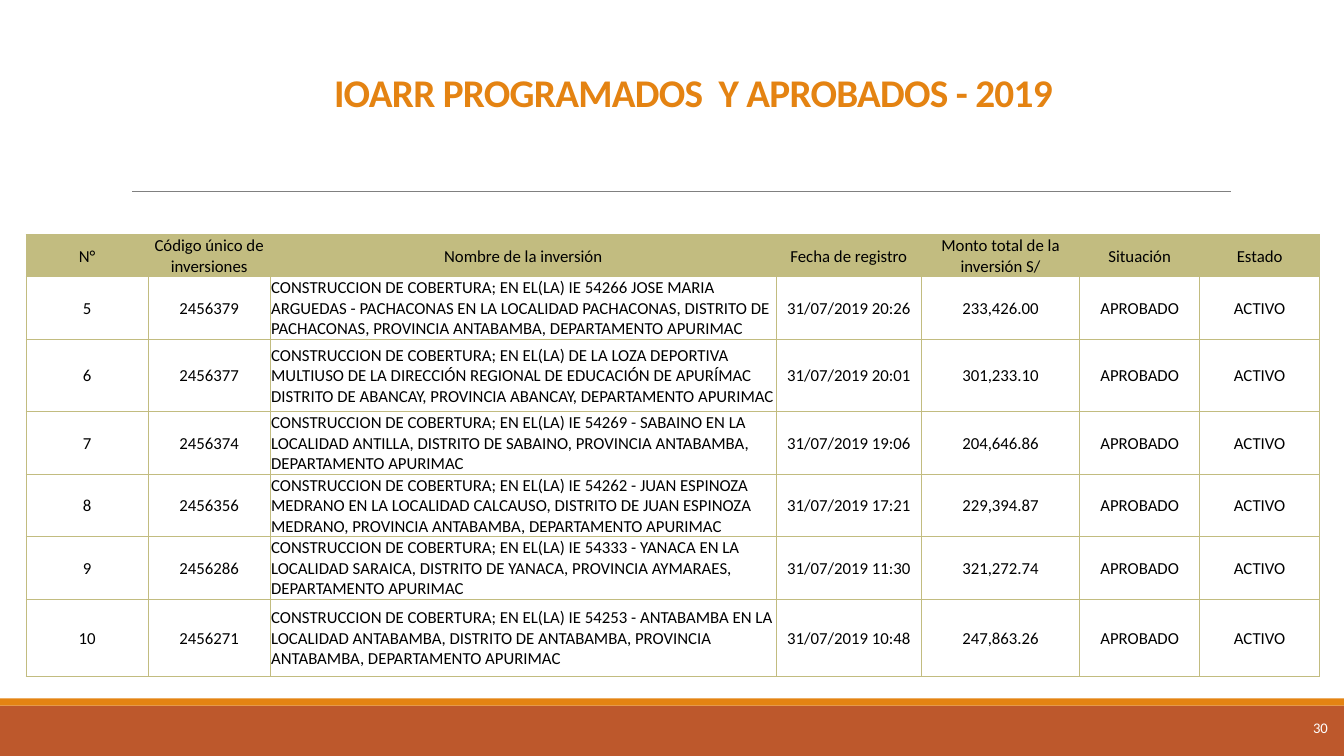
from lxml.etree import SubElement
from pptx import Presentation
from pptx.dml.color import RGBColor
from pptx.enum.shapes import MSO_CONNECTOR, MSO_SHAPE
from pptx.enum.text import MSO_ANCHOR, MSO_AUTO_SIZE, PP_ALIGN
from pptx.oxml.ns import qn
from pptx.util import Inches, Pt

TITLE = "IOARR PROGRAMADOS  Y APROBADOS - 2019"
PAGE_NUMBER = "30"
HEADERS = ["N°", "Código único de inversiones", "Nombre de la inversión", "Fecha de registro",
           "Monto total de la inversión S/", "Situación", "Estado"]
WORK = "CONSTRUCCION DE COBERTURA; EN EL(LA) "
REGION = ", DEPARTAMENTO APURIMAC"
INVESTMENTS = [
    ("2456379", "IE 54266 JOSE MARIA ARGUEDAS - PACHACONAS EN LA LOCALIDAD PACHACONAS, "
     "DISTRITO DE PACHACONAS, PROVINCIA ANTABAMBA", "31/07/2019 20:26", "233,426.00"),
    ("2456377", "DE LA LOZA DEPORTIVA MULTIUSO DE LA DIRECCIÓN REGIONAL DE EDUCACIÓN DE APURÍMAC "
     "DISTRITO DE ABANCAY, PROVINCIA ABANCAY", "31/07/2019 20:01", "301,233.10"),
    ("2456374", "IE 54269 - SABAINO EN LA LOCALIDAD ANTILLA, "
     "DISTRITO DE SABAINO, PROVINCIA ANTABAMBA", "31/07/2019 19:06", "204,646.86"),
    ("2456356", "IE 54262 - JUAN ESPINOZA MEDRANO EN LA LOCALIDAD CALCAUSO, "
     "DISTRITO DE JUAN ESPINOZA MEDRANO, PROVINCIA ANTABAMBA", "31/07/2019 17:21", "229,394.87"),
    ("2456286", "IE 54333 - YANACA EN LA LOCALIDAD SARAICA, "
     "DISTRITO DE YANACA, PROVINCIA AYMARAES", "31/07/2019 11:30", "321,272.74"),
    ("2456271", "IE 54253 - ANTABAMBA EN LA LOCALIDAD ANTABAMBA, "
     "DISTRITO DE ANTABAMBA, PROVINCIA ANTABAMBA", "31/07/2019 10:48", "247,863.26"),
]
FIRST_NUMBER = 5
NAME_COLUMN = 2
COLUMN_WIDTHS = [1.21, 1.21, 5.02, 1.44, 1.57, 1.19, 1.19]
ROW_HEIGHTS = [0.41, 0.62, 0.72, 0.62, 0.62, 0.62, 0.77]
BANDS = [(7, 0.5, "BD582C"), (6.93, 0.07, "E48312")]
OLIVE = "C2BC80"


def color(value):
    return RGBColor.from_string(value)


def write(frame, text, size, tint, align, bold=False):
    para = frame.paragraphs[0]
    para.alignment = align
    span = para.add_run()
    span.text = text
    span.font.name = "Calibri"
    span.font.size = Pt(size)
    span.font.bold = bold
    span.font.color.rgb = color(tint)
    return span


def prepare(frame, anchor):
    frame.margin_left = frame.margin_right = frame.margin_top = frame.margin_bottom = 0
    frame.word_wrap = True
    frame.auto_size = MSO_AUTO_SIZE.NONE
    frame.vertical_anchor = anchor


def add_borders(cell):
    properties = cell._tc.get_or_add_tcPr()
    for side in ("lnL", "lnR", "lnT", "lnB"):
        line = SubElement(properties, qn(f"a:{side}"), w=str(Pt(1)))
        fill = SubElement(line, qn("a:solidFill"))
        SubElement(fill, qn("a:srgbClr"), val=OLIVE)


def add_frame(page):
    for top, height, tint in BANDS:
        band = page.shapes.add_shape(MSO_SHAPE.RECTANGLE, 0, Inches(top), Inches(13.33), Inches(height))
        band.shadow.inherit = False
        band.fill.solid()
        band.fill.fore_color.rgb = color(tint)
        band.line.fill.background()
    rule = page.shapes.add_connector(MSO_CONNECTOR.STRAIGHT, Inches(1.31), Inches(1.9),
                                     Inches(12.21), Inches(1.9))
    rule.line.color.rgb = color("808080")
    rule.line.width = Pt(0.5)
    SubElement(rule._element.spPr, qn("a:effectLst"))
    box = page.shapes.add_textbox(Inches(12.37), Inches(6.93), Inches(0.8), Inches(0.57))
    prepare(box.text_frame, MSO_ANCHOR.MIDDLE)
    write(box.text_frame, PAGE_NUMBER, 10.5, "FFFFFF", PP_ALIGN.RIGHT)


def add_title(page):
    title = page.shapes.title
    title.left, title.top, title.width, title.height = map(Inches, (1.1, 0.57, 11.55, 0.57))
    prepare(title.text_frame, MSO_ANCHOR.BOTTOM)
    span = write(title.text_frame, TITLE, 28, "E48312", PP_ALIGN.CENTER, bold=True)
    span.font._element.set("spc", "-50")


def add_investments(page):
    rows = [HEADERS]
    for number, (code, name, date, amount) in enumerate(INVESTMENTS, FIRST_NUMBER):
        rows.append([str(number), code, WORK + name + REGION, date, amount, "APROBADO", "ACTIVO"])
    table = page.shapes.add_table(len(rows), len(HEADERS), Inches(0.26), Inches(2.33),
                                  Inches(sum(COLUMN_WIDTHS)), Inches(sum(ROW_HEIGHTS))).table
    table.horz_banding = False
    for column, width in zip(table.columns, COLUMN_WIDTHS):
        column.width = Inches(width)
    for row, height in zip(table.rows, ROW_HEIGHTS):
        row.height = Inches(height)
    for row_index, texts in enumerate(rows):
        for column_index, text in enumerate(texts):
            cell = table.cell(row_index, column_index)
            cell.margin_left = cell.margin_right = cell.margin_top = Inches(0.01)
            cell.margin_bottom = 0
            cell.vertical_anchor = MSO_ANCHOR.MIDDLE
            add_borders(cell)
            if row_index == 0:
                cell.fill.solid()
                cell.fill.fore_color.rgb = color(OLIVE)
            else:
                cell.fill.background()
            is_name = row_index > 0 and column_index == NAME_COLUMN
            write(cell.text_frame, text, 12, "000000", PP_ALIGN.LEFT if is_name else PP_ALIGN.CENTER)


def main():
    deck = Presentation()
    deck.slide_width, deck.slide_height = Inches(13.33), Inches(7.5)
    page = deck.slides.add_slide(deck.slide_layouts[5])
    add_frame(page)
    add_investments(page)
    add_title(page)
    deck.save("out.pptx")


if __name__ == "__main__":
    main()
